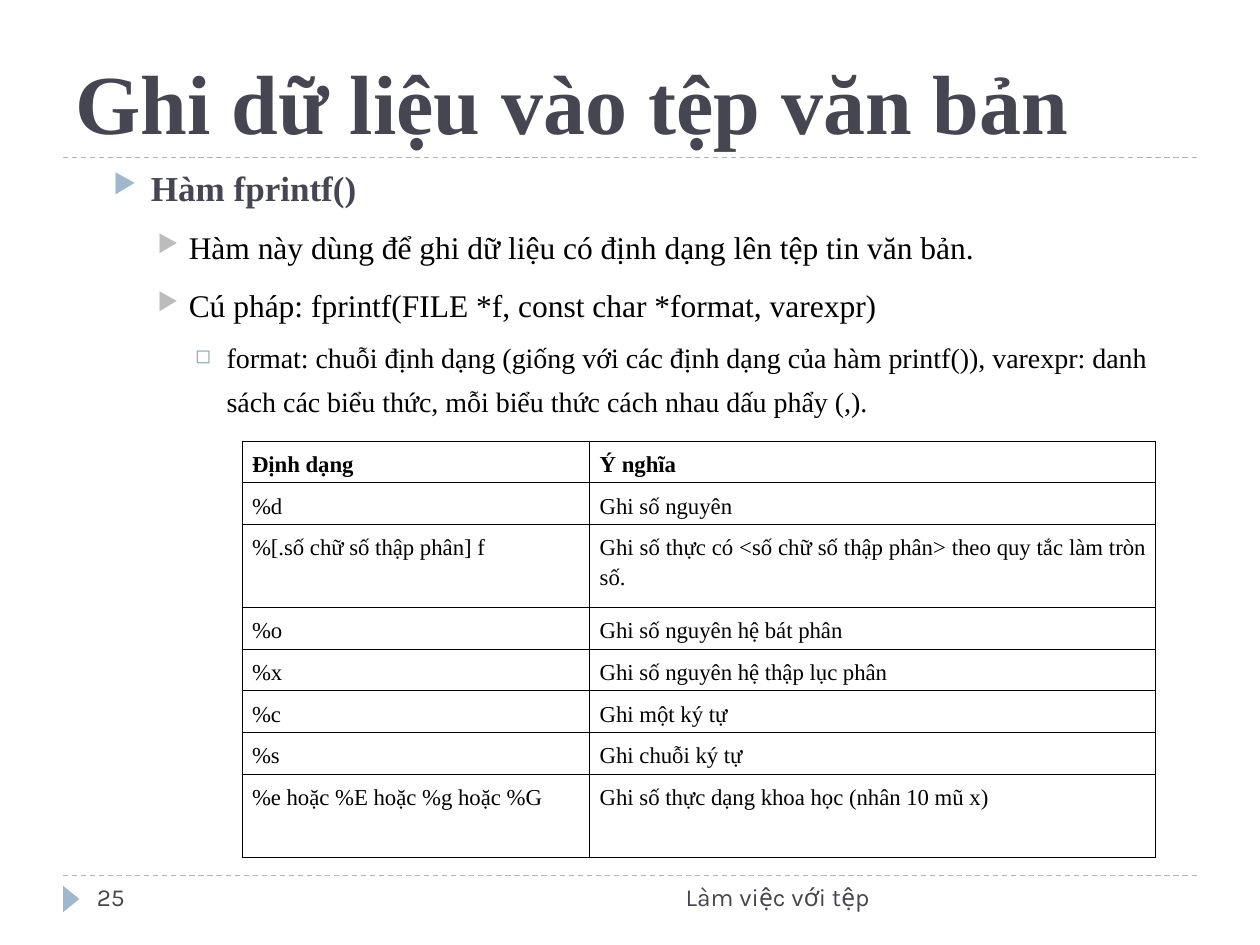
import dataclasses
import typing

import lxml.etree
import pptx
import pptx.dml.color
import pptx.enum.dml
import pptx.enum.shapes
import pptx.enum.text
import pptx.oxml.ns
import pptx.util

Inches = pptx.util.Inches
Pt = pptx.util.Pt
Align = pptx.enum.text.PP_ALIGN
Anchor = pptx.enum.text.MSO_ANCHOR
qn = pptx.oxml.ns.qn

HUES = {"ink": "464653", "black": "000000", "blue": "9FB8CD",
        "gray": "BCBCBC", "steel": "8BA2B4"}
SERIF = "Times New Roman"
SANS = "Karla"


@dataclasses.dataclass
class Level:
    left: float
    hang: float
    mark: str
    tint: str
    scale: int
    size: int
    hue: str
    bold: bool
    before: int


@dataclasses.dataclass
class Point:
    level: Level
    text: str


@dataclasses.dataclass
class Foot:
    text: str
    left: float
    width: float
    align: Align


HEAD = Level(0.6, 0.3, "▶", "blue", 76, 20, "ink", True, 5)
ITEM = Level(0.9, 0.25, "▶", "gray", 76, 18, "black", False, 5)
NOTE = Level(1.2, 0.25, "◻", "steel", 70, 16, "black", False, 4)

POINTS = [
    Point(HEAD, "Hàm fprintf()"),
    Point(ITEM, "Hàm này dùng để ghi dữ liệu có định dạng lên tệp tin văn bản."),
    Point(ITEM, "Cú pháp: fprintf(FILE *f, const char *format, varexpr)"),
    Point(NOTE, "format: chuỗi định dạng (giống với các định dạng của hàm printf()), "
                "varexpr: danh sách các biểu thức, mỗi biểu thức cách nhau dấu phẩy (,)."),
]
FEET = [Foot("25", 0.67, 2.17, Align.LEFT),
        Foot("Làm việc với tệp", 3.17, 3.83, Align.RIGHT)]
RULES = [1.25, 6.95]

ROWS = [
    ("Định dạng", "Ý nghĩa"),
    ("%d", "Ghi số nguyên"),
    ("%[.số chữ số thập phân] f",
     "Ghi số thực có <số chữ số thập phân> theo quy tắc làm tròn số."),
    ("%o", "Ghi số nguyên hệ bát phân"),
    ("%x", "Ghi số nguyên hệ thập lục phân"),
    ("%c", "Ghi một ký tự"),
    ("%s", "Ghi chuỗi ký tự"),
    ("%e hoặc %E hoặc %g hoặc %G", "Ghi số thực dạng khoa học (nhân 10 mũ x)"),
]
COLS = [2.76, 4.49]
ROW_HIGH = 0.33
TALL = {2, 7}


def color(hue: str) -> pptx.dml.color.RGBColor:
    return pptx.dml.color.RGBColor.from_string(HUES[hue])


def style(para, face: str, size: int, hue: str, bold: bool = False) -> None:
    para.font.name = face
    para.font.size = Pt(size)
    para.font.bold = bold
    para.font.color.rgb = color(hue)


def add_node(owner, tag: str, **attrs: str):
    return lxml.etree.SubElement(owner, qn(tag), attrs)


def draw_rule(slide, top: float) -> None:
    rule = slide.shapes.add_connector(
        pptx.enum.shapes.MSO_CONNECTOR.STRAIGHT,
        Inches(0.5), Inches(top), Inches(9.5), Inches(top))
    rule.line.color.rgb = color("blue")
    rule.line.width = Pt(0.75)
    rule.line.dash_style = pptx.enum.dml.MSO_LINE.DASH
    add_node(rule._element.spPr, "a:effectLst")


def draw_arrow(slide) -> None:
    arrow = slide.shapes.add_shape(
        pptx.enum.shapes.MSO_SHAPE.ISOSCELES_TRIANGLE,
        Inches(0.46), Inches(7.07), Inches(0.21), Inches(0.13))
    arrow.rotation = 90
    arrow.shadow.inherit = False
    arrow.fill.solid()
    arrow.fill.fore_color.rgb = color("blue")
    arrow.line.fill.background()


def draw_title(slide, text: str) -> None:
    title = slide.shapes.title
    title.left, title.top = Inches(0.5), Inches(0.17)
    title.width, title.height = Inches(9), Inches(1.08)
    frame = title.text_frame
    frame.text = text
    frame.auto_size = pptx.enum.text.MSO_AUTO_SIZE.NONE
    frame.vertical_anchor = Anchor.BOTTOM
    para = frame.paragraphs[0]
    para.alignment = Align.LEFT
    style(para, SERIF, 48, "ink", True)


def add_box(slide, left: float, top: float, width: float, height: float):
    box = slide.shapes.add_textbox(
        Inches(left), Inches(top), Inches(width), Inches(height))
    box.text_frame.word_wrap = True
    return box.text_frame


def set_mark(para, level: Level) -> None:
    props = para._p.get_or_add_pPr()
    props.set("marL", str(Inches(level.left)))
    props.set("indent", str(-Inches(level.hang)))
    tint = add_node(props, "a:buClr")
    add_node(tint, "a:srgbClr", val=HUES[level.tint])
    add_node(props, "a:buSzPct", val=str(level.scale * 1000))
    add_node(props, "a:buChar", char=level.mark)


def draw_points(slide, points: typing.List[Point]) -> None:
    frame = add_box(slide, 0.5, 1.17, 9, 5.4)
    for index, point in enumerate(points):
        para = frame.add_paragraph() if index else frame.paragraphs[0]
        level = point.level
        para.text = point.text
        para.line_spacing = 1.3
        para.space_before = Pt(level.before)
        set_mark(para, level)
        style(para, SERIF, level.size, level.hue, level.bold)


def set_edges(cell) -> None:
    props = cell._tc.get_or_add_tcPr()
    for side in ("a:lnL", "a:lnR", "a:lnT", "a:lnB"):
        edge = add_node(props, side, w=str(Pt(0.45)))
        fill = add_node(edge, "a:solidFill")
        add_node(fill, "a:srgbClr", val=HUES["black"])


def fill_cell(cell, text: str, bold: bool) -> None:
    cell.margin_left = cell.margin_right = Inches(0.08)
    cell.margin_top = Inches(0.05)
    cell.margin_bottom = Inches(0.02)
    set_edges(cell)
    cell.fill.background()
    cell.text = text
    para = cell.text_frame.paragraphs[0]
    para.alignment = Align.JUSTIFY
    para.line_spacing = 1.2
    style(para, SERIF, 13, "black", bold)


def draw_table(slide) -> None:
    highs = [ROW_HIGH * (2 if row in TALL else 1) for row in range(len(ROWS))]
    table = slide.shapes.add_table(
        len(ROWS), len(COLS), Inches(1.92), Inches(3.5),
        Inches(sum(COLS)), Inches(sum(highs))).table
    table.first_row = table.horz_banding = False
    for column, width in zip(table.columns, COLS):
        column.width = Inches(width)
    for row, (high, texts) in enumerate(zip(highs, ROWS)):
        table.rows[row].height = Inches(high)
        for col, text in enumerate(texts):
            fill_cell(table.cell(row, col), text, row == 0)


def draw_foot(slide, foot: Foot) -> None:
    para = add_box(slide, foot.left, 6.95, foot.width, 0.4).paragraphs[0]
    para.text = foot.text
    para.alignment = foot.align
    style(para, SANS, 14, "ink")


def main() -> None:
    deck = pptx.Presentation()
    deck.slide_width, deck.slide_height = Inches(10), Inches(7.5)
    slide = deck.slides.add_slide(deck.slide_layouts[5])
    for top in RULES:
        draw_rule(slide, top)
    draw_arrow(slide)
    draw_title(slide, "Ghi dữ liệu vào tệp văn bản")
    draw_points(slide, POINTS)
    draw_table(slide)
    for foot in FEET:
        draw_foot(slide, foot)
    deck.save("out.pptx")


if __name__ == "__main__":
    main()
